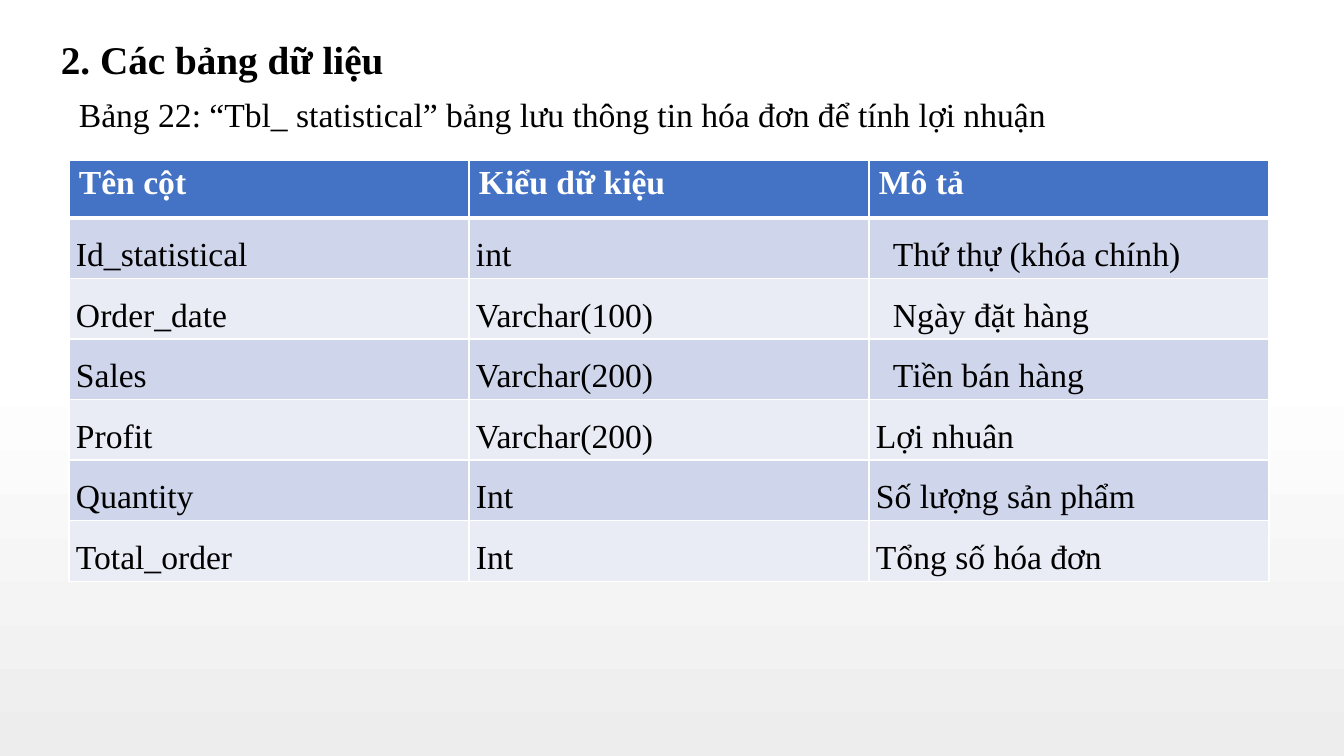
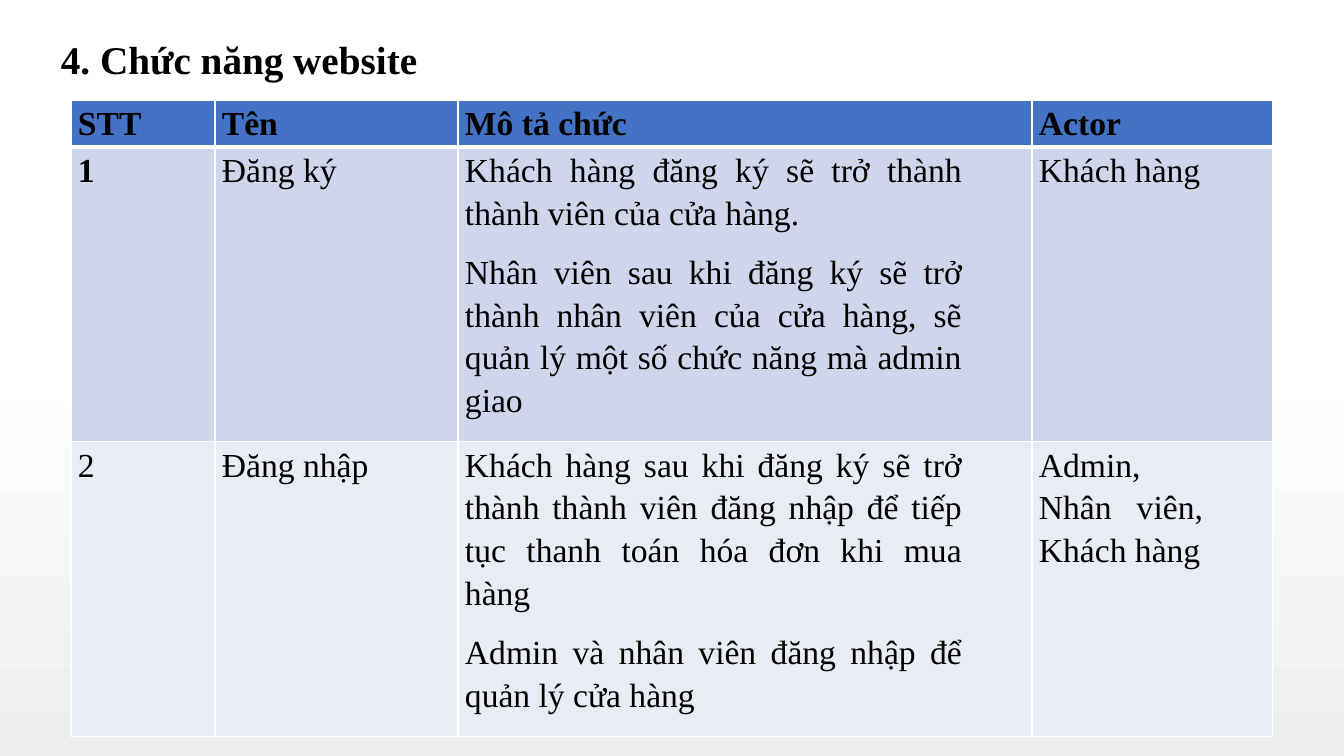
import pptx
import pptx.dml.color
import pptx.enum.text
import pptx.oxml
import pptx.oxml.ns
import pptx.util

EMU_PER_PX = 914400 / 100.8
FONT = "Times New Roman"
COLOURS = {
    "text": "000000",
    "white": "FFFFFF",
    "header": "4472C4",
    "odd": "CFD5EA",
    "even": "E9EBF5",
    "background_end": "EDEDED",
}
LEFT = pptx.enum.text.PP_ALIGN.LEFT
JUSTIFY = pptx.enum.text.PP_ALIGN.JUSTIFY

# Margins are left, top, right, bottom in px; spacing is in points.
COLUMNS_TABLE = {
    "at": (69, 160),
    "widths": [400, 400, 400],
    "heights": [58] + [60] * 6,
    "rows": [
        ("Tên cột", "Kiểu dữ kiệu", "Mô tả"),
        ("Id_statistical", "int", "Thứ thự (khóa chính)"),
        ("Order_date", "Varchar(100)", "Ngày đặt hàng"),
        ("Sales", "Varchar(200)", "Tiền bán hàng"),
        ("Profit", "Varchar(200)", "Lợi nhuân"),
        ("Quantity", "Int", "Số lượng sản phẩm"),
        ("Total_order", "Int", "Tổng số hóa đơn"),
    ],
    "header_colour": "white",
    "header_margins": (10, 5, 10, 5),
    "body_margins": (7, 0, 0, 0),
    "indents": {(row, 2): 24 for row in (1, 2, 3)},
    "bold_cells": set(),
    "header_line_spacing": 1.0,
    "body_line_spacing": 1.5,
    "space_before": (0, 0),
    "align": LEFT,
}
FUNCTIONS_TABLE = {
    "at": (71, 100),
    "widths": [144, 243, 574, 241],
    "heights": [47, 294, 294],
    "rows": [
        ("STT", "Tên", "Mô tả chức", "Actor"),
        ("1", "Đăng ký",
         "Khách hàng đăng ký sẽ trở thành thành viên của cửa hàng.\n"
         "Nhân viên sau khi đăng ký sẽ trở thành nhân viên của cửa hàng, "
         "sẽ quản lý một số chức năng mà admin giao",
         "Khách hàng"),
        ("2", "Đăng nhập",
         "Khách hàng sau khi đăng ký sẽ trở thành thành viên đăng nhập "
         "để tiếp tục thanh toán hóa đơn khi mua hàng\n"
         "Admin và nhân viên đăng nhập để quản lý cửa hàng",
         "Admin, Nhân viên, Khách hàng"),
    ],
    "header_colour": "text",
    "header_margins": (7, 0, 7, 0),
    "body_margins": (7, 0, 70, 0),
    "indents": {},
    "bold_cells": {(1, 0)},
    "header_line_spacing": 1.15,
    "body_line_spacing": 1.15,
    "space_before": (1.8, 11.8),
    "align": JUSTIFY,
}
SLIDES = [
    {
        "title": "2. Các bảng dữ liệu",
        "caption": "Bảng 22: “Tbl_ statistical” bảng lưu thông tin hóa đơn để tính lợi nhuận",
        "table": COLUMNS_TABLE,
    },
    {"title": "4. Chức năng website", "table": FUNCTIONS_TABLE},
]


def px(length):
    return pptx.util.Emu(round(length * EMU_PER_PX))


def rgb(name):
    return pptx.dml.color.RGBColor.from_string(COLOURS[name])


def format_runs(para, size, colour="text", bold=False):
    for span in para.runs:
        span.font.name = FONT
        span.font.size = pptx.util.Pt(size)
        span.font.bold = bold
        span.font.color.rgb = rgb(colour)


def add_text(page, text, bounds, size, bold=False):
    box = page.shapes.add_textbox(*map(px, bounds))
    frame = box.text_frame
    frame.word_wrap = True
    frame.auto_size = pptx.enum.text.MSO_AUTO_SIZE.SHAPE_TO_FIT_TEXT
    frame.text = text
    format_runs(frame.paragraphs[0], size, bold=bold)


def set_borders(cell, row):
    """Draw thin white borders, with a thick one under the header row."""
    widths = {
        "lnL": 1,
        "lnR": 1,
        "lnT": 3 if row == 1 else 1,
        "lnB": 3 if row == 0 else 1,
    }
    properties = cell._tc.get_or_add_tcPr()
    namespace = pptx.oxml.ns.nsdecls("a")
    for index, (tag, points) in enumerate(widths.items()):
        border = pptx.oxml.parse_xml(
            f'<a:{tag} {namespace} w="{pptx.util.Pt(points)}"><a:solidFill>'
            f'<a:srgbClr val="{COLOURS["white"]}"/></a:solidFill></a:{tag}>'
        )
        properties.insert(index, border)


def fill_cell(cell, text, row, column, table):
    is_header = row == 0
    part = "header" if is_header else "body"
    left, top, right, bottom = table[part + "_margins"]
    cell.margin_left = px(table["indents"].get((row, column), left))
    cell.margin_top, cell.margin_right, cell.margin_bottom = map(px, (top, right, bottom))
    cell.fill.solid()
    cell.fill.fore_color.rgb = rgb("header" if is_header else "odd" if row % 2 else "even")
    set_borders(cell, row)

    cell.text_frame.text = text
    for index, para in enumerate(cell.text_frame.paragraphs):
        para.alignment = table["align"]
        para.line_spacing = table[part + "_line_spacing"]
        para.space_before = pptx.util.Pt(table["space_before"][min(index, 1)])
        format_runs(
            para, 24,
            colour=table["header_colour"] if is_header else "text",
            bold=is_header or (row, column) in table["bold_cells"],
        )


def add_table(page, table):
    widths, heights, rows = table["widths"], table["heights"], table["rows"]
    bounds = (*table["at"], sum(widths), sum(heights))
    grid = page.shapes.add_table(len(rows), len(widths), *map(px, bounds)).table
    for column, width in zip(grid.columns, widths):
        column.width = px(width)
    for row, height in zip(grid.rows, heights):
        row.height = px(height)
    for row, texts in enumerate(rows):
        for column, text in enumerate(texts):
            fill_cell(grid.cell(row, column), text, row, column, table)


def set_background(master):
    fill = master.background.fill
    fill.gradient()
    fill.gradient_angle = 270
    stops = ((0.48, "white"), (1.0, "background_end"))
    for stop, (position, colour) in zip(fill.gradient_stops, stops):
        stop.position = position
        stop.color.rgb = rgb(colour)


def main():
    deck = pptx.Presentation()
    deck.slide_width, deck.slide_height = px(1344), px(756)
    set_background(deck.slide_master)
    for content in SLIDES:
        page = deck.slides.add_slide(deck.slide_layouts[6])
        add_text(page, content["title"], (51, 30, 982, 57), 28, bold=True)
        if "caption" in content:
            add_text(page, content["caption"], (69, 89, 1207, 50), 24)
        add_table(page, content["table"])
    deck.save("out.pptx")


if __name__ == "__main__":
    main()
